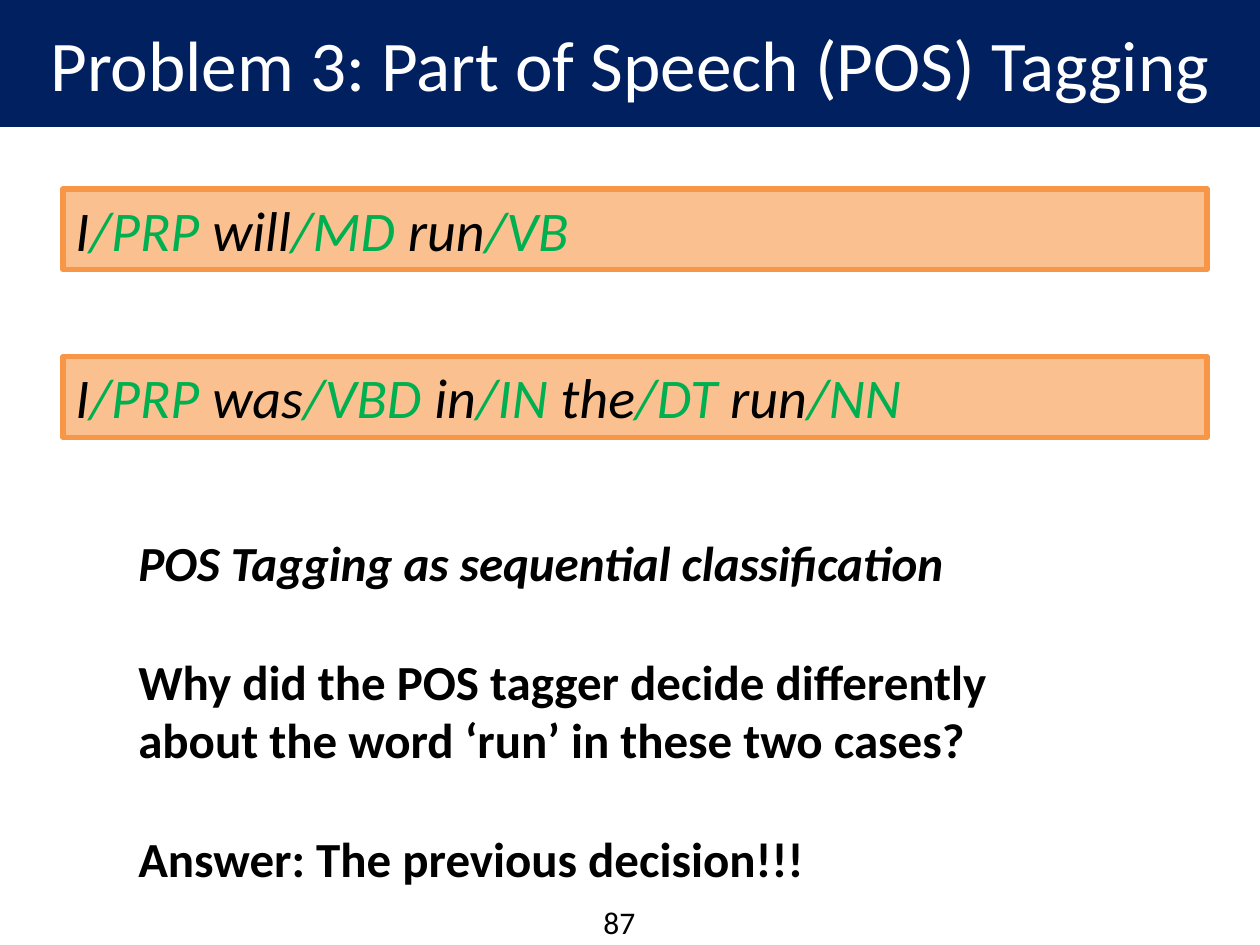
from pptx import Presentation
from pptx.dml.color import RGBColor
from pptx.enum import shapes, text
from pptx.util import Inches, Pt

NAVY = RGBColor(0x00, 0x20, 0x60)
WHITE = RGBColor(0xFF, 0xFF, 0xFF)
BLACK = RGBColor(0x00, 0x00, 0x00)
PEACH = RGBColor(0xFA, 0xC0, 0x90)
ORANGE = RGBColor(0xF7, 0x96, 0x46)
GREEN = RGBColor(0x00, 0xB0, 0x50)

WIDE, HIGH = 10, 7.5
TITLE = "Problem 3: Part of Speech (POS) Tagging"
TAGGED = [
    "I/PRP will/MD run/VB",
    "I/PRP was/VBD in/IN the/DT run/NN",
]
NOTES = [
    "POS Tagging as sequential classification",
    "Why did the POS tagger decide differently about the word ‘run’ in these two cases?",
    "Answer: The previous decision!!!",
]
PAGE = "87"
TOP, STEP = HIGH / 5, 1.33  # first tagged sentence and distance to the next

deck = Presentation()
deck.slide_width, deck.slide_height = Inches(WIDE), Inches(HIGH)
slide = deck.slides.add_slide(deck.slide_layouts[6])


def style(para, size, color=BLACK, bold=False, italic=False):
    font = para.font
    font.name, font.size = "Calibri", Pt(size)
    font.bold, font.italic = bold, italic
    font.color.rgb = color


def add_bar(x, y, w, h, fill, line, weight):
    bar = slide.shapes.add_shape(shapes.MSO_SHAPE.RECTANGLE, *map(Inches, (x, y, w, h)))
    bar.shadow.inherit = False
    bar.fill.solid()
    bar.fill.fore_color.rgb = fill
    bar.line.color.rgb = line
    bar.line.width = Pt(weight)
    return bar.text_frame


def add_text(x, y, w, h):
    frame = slide.shapes.add_textbox(*map(Inches, (x, y, w, h))).text_frame
    frame.word_wrap = True
    return frame


def add_run(para, words, color):
    run = para.add_run()
    run.text = words
    run.font.color.rgb = color


page = add_text(4.69, 7.12, 0.72, 0.4).paragraphs[0]
page.text = PAGE
style(page, 18)

head = add_bar(0, 0, WIDE, 1, NAVY, NAVY, 0.75)
head.vertical_anchor = text.MSO_ANCHOR.MIDDLE
para = head.paragraphs[0]
para.text = TITLE
para.alignment = text.PP_ALIGN.CENTER
style(para, 40.7, WHITE)

for row, line in enumerate(TAGGED):
    frame = add_bar(0.5, TOP + row * STEP, 9.08, 0.64, PEACH, ORANGE, 3)
    frame.vertical_anchor = text.MSO_ANCHOR.TOP
    para = frame.paragraphs[0]
    para.alignment = text.PP_ALIGN.LEFT
    style(para, 32, italic=True)
    for i, token in enumerate(line.split()):
        word, tag = token.split("/")
        add_run(para, " " + word if i else word, BLACK)
        add_run(para, "/" + tag, GREEN)

body = add_text(1, 4.18, 7.96, 2.93)
for i, note in enumerate(NOTES):
    para = body.add_paragraph() if i else body.paragraphs[0]
    para.text = note
    style(para, 28, bold=True, italic=i == 0)
    if i:
        para.space_before = Pt(34)

deck.save("out.pptx")
